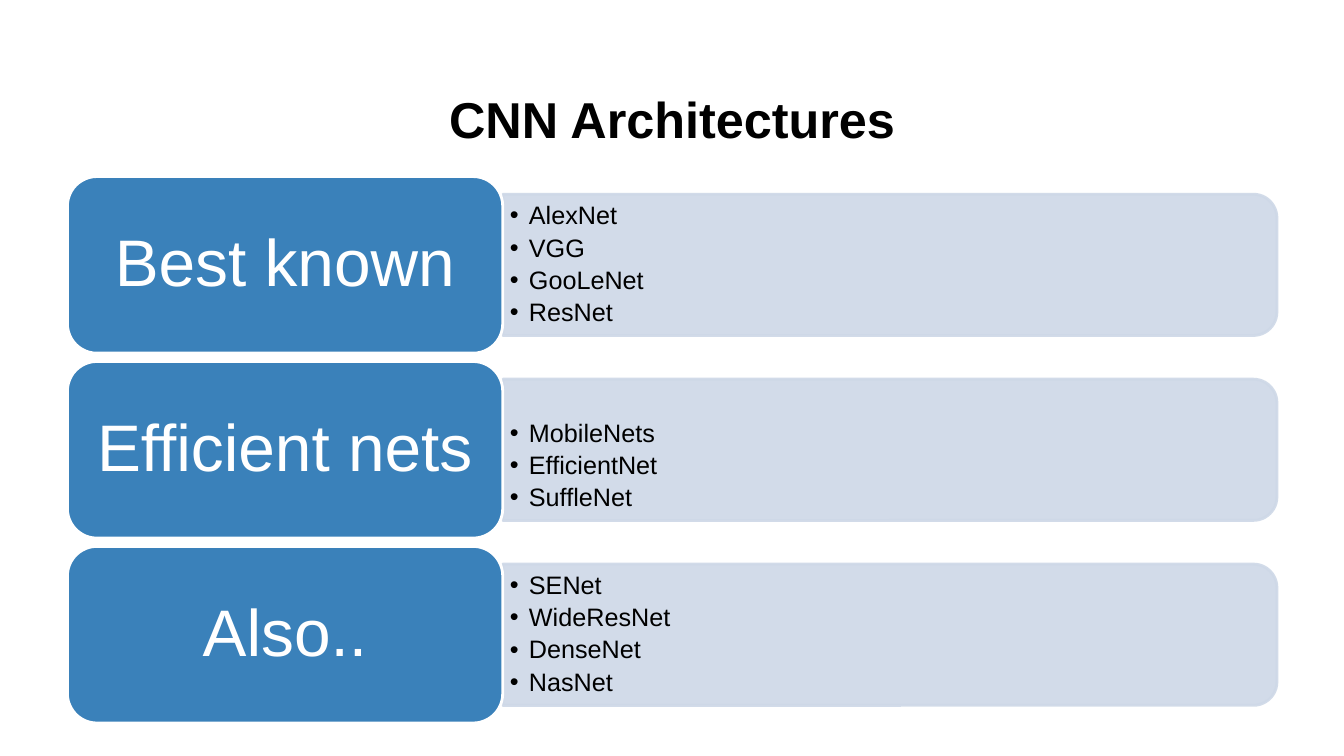
from dataclasses import dataclass

from lxml.etree import SubElement
from pptx import Presentation
from pptx.dml.color import RGBColor
from pptx.enum.shapes import MSO_SHAPE as Preset
from pptx.enum.text import MSO_ANCHOR as Anchor, MSO_AUTO_SIZE as AutoSize, PP_ALIGN as Align
from pptx.oxml.ns import qn
from pptx.util import Cm, Pt

BLACK = RGBColor(0x00, 0x00, 0x00)
WHITE = RGBColor(0xFF, 0xFF, 0xFF)
BLUE = RGBColor(0x3A, 0x81, 0xBA)
PALE_BLUE = RGBColor(0xCE, 0xD8, 0xE7)

# Row geometry in centimetres
LEFT, TOP, PITCH = 1.7, 4.45, 4.66
LABEL_WIDTH, LABEL_HEIGHT = 10.97, 4.45
PANEL_WIDTH, PANEL_HEIGHT = 19.51, 3.56
LIST_WIDTH, LIST_HEIGHT = 19.33, 3.2
INDENT = 0.48


@dataclass
class Family:
    label: str
    networks: list[str]
    list_shift: float = 0


FAMILIES = [
    Family("Best known", ["AlexNet", "VGG", "GooLeNet", "ResNet"]),
    Family("Efficient nets", ["MobileNets", "EfficientNet", "SuffleNet"], list_shift=0.42),
    Family("Also..", ["SENet", "WideResNet", "DenseNet", "NasNet"]),
]


def place(shape, left: float, top: float, width: float, height: float) -> None:
    shape.left, shape.top, shape.width, shape.height = map(Cm, (left, top, width, height))


def add_bullet(paragraph) -> None:
    properties = paragraph._p.get_or_add_pPr()
    properties.set("marL", str(Cm(INDENT)))
    properties.set("indent", str(-Cm(INDENT)))
    SubElement(properties, qn("a:buFont")).set("typeface", "Arial")
    SubElement(properties, qn("a:buChar")).set("char", "•")


def write(shape, lines: list[str], *, size: float, color: RGBColor, bold: bool = False,
          align: Align = Align.CENTER, anchor: Anchor = Anchor.MIDDLE,
          margins: tuple[float, float] = (0.25, 0.25), spacing: float = 0.9,
          after: float = 0, bullets: bool = False) -> None:
    frame = shape.text_frame
    frame.word_wrap = True
    frame.auto_size = AutoSize.NONE
    frame.vertical_anchor = anchor
    frame.margin_left = frame.margin_right = Cm(margins[0])
    frame.margin_top = frame.margin_bottom = Cm(margins[1])
    frame.text = "\n".join(lines)
    for paragraph in frame.paragraphs:
        paragraph.alignment = align
        paragraph.line_spacing = spacing
        paragraph.space_before = Pt(0)
        paragraph.space_after = Pt(after)
        if bullets:
            paragraph.level = 1
            add_bullet(paragraph)
        for run in paragraph.runs:
            run.font.name = "Arial"
            run.font.size = Pt(size)
            run.font.bold = bold
            run.font.color.rgb = color


def add_block(slide, preset: Preset, box: tuple[float, float, float, float],
              fill: RGBColor, line: RGBColor):
    shape = slide.shapes.add_shape(preset, *map(Cm, box))
    shape.shadow.inherit = False
    shape.fill.solid()
    shape.fill.fore_color.rgb = fill
    shape.line.color.rgb = line
    shape.line.width = Pt(2)
    return shape


def add_panel(slide, left: float, middle: float) -> None:
    # The preset rounds its top corners, so a quarter turn rounds the right side
    box = (left + (PANEL_WIDTH - PANEL_HEIGHT) / 2, middle - PANEL_WIDTH / 2,
           PANEL_HEIGHT, PANEL_WIDTH)
    panel = add_block(slide, Preset.ROUND_2_SAME_RECTANGLE, box, PALE_BLUE, PALE_BLUE)
    panel.rotation = 90
    for color in panel._element.spPr.iter(qn("a:srgbClr")):
        SubElement(color, qn("a:alpha")).set("val", "90000")


def add_row(slide, family: Family, body, top: float) -> None:
    middle = top + LABEL_HEIGHT / 2
    list_left = LEFT + LABEL_WIDTH
    add_panel(slide, list_left, middle)

    # List in front of its panel
    body._element.getparent().append(body._element)
    place(body, list_left, middle - LIST_HEIGHT / 2 + family.list_shift, LIST_WIDTH, LIST_HEIGHT)
    write(body, family.networks, size=18, color=BLACK, align=Align.LEFT,
          margins=(0.18, 0.1), after=3.5, bullets=True)

    label = add_block(slide, Preset.ROUNDED_RECTANGLE,
                      (LEFT, top, LABEL_WIDTH, LABEL_HEIGHT), BLUE, WHITE)
    write(label, [family.label], size=47, color=WHITE)


def main() -> None:
    presentation = Presentation()
    presentation.slide_width, presentation.slide_height = Cm(33.87), Cm(19.05)
    slide = presentation.slides.add_slide(presentation.slide_layouts.get_by_name("Comparison"))
    title, *bodies = slide.placeholders

    # Title
    place(title, LEFT, 0.81, 30.48, 3.18)
    write(title, ["CNN Architectures"], size=36, color=BLACK, bold=True,
          anchor=Anchor.BOTTOM, spacing=1)

    # One row per family of networks
    for index, (family, body) in enumerate(zip(FAMILIES, bodies)):
        add_row(slide, family, body, TOP + index * PITCH)

    # Placeholders left over
    for body in bodies[len(FAMILIES):]:
        body._element.getparent().remove(body._element)

    presentation.save("out.pptx")


if __name__ == "__main__":
    main()
